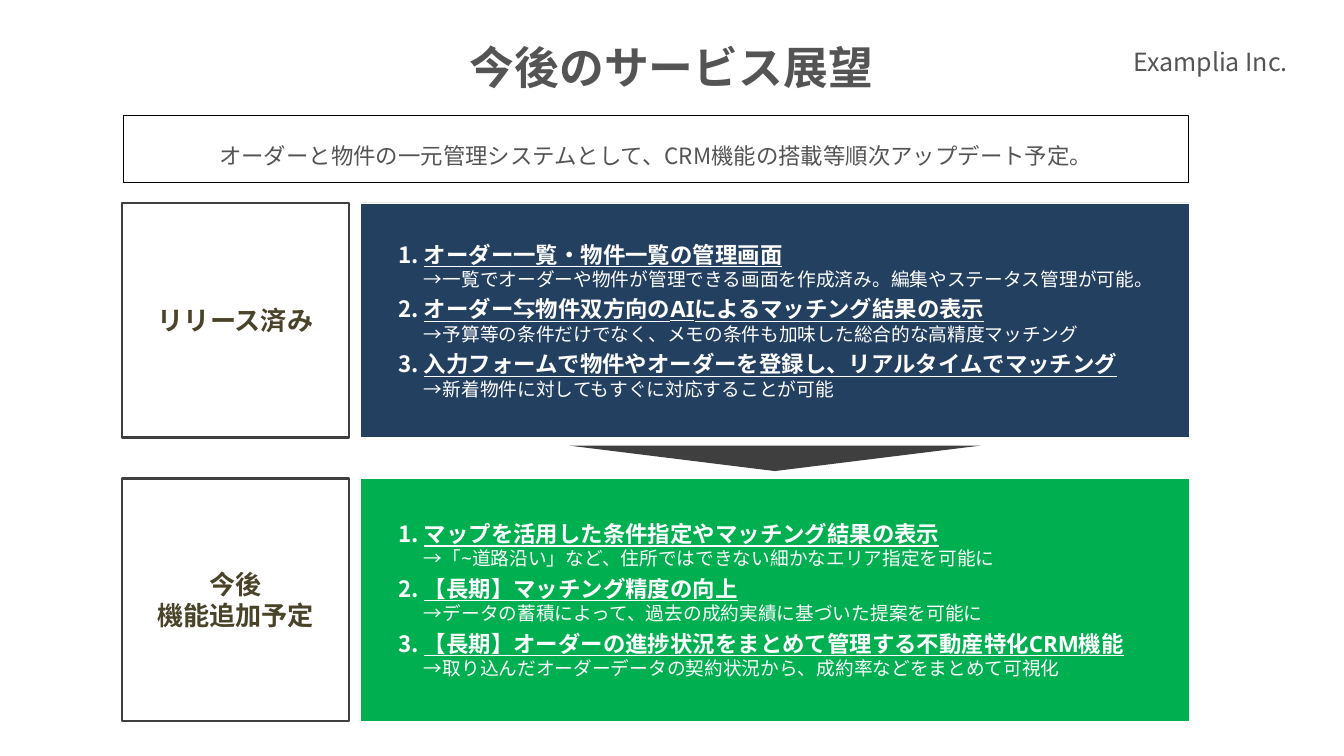
from lxml.etree import SubElement
from pptx import Presentation
from pptx.dml.color import RGBColor
from pptx.enum.shapes import MSO_SHAPE
from pptx.enum.text import MSO_ANCHOR, PP_ALIGN
from pptx.oxml.ns import qn
from pptx.util import Pt

PX = 9144  # EMU per px, 100 px to the inch

GRAY = RGBColor(0x54, 0x54, 0x54)
CHARCOAL = RGBColor(0x3F, 0x3F, 0x3F)
OLIVE = RGBColor(0x49, 0x44, 0x29)
NAVY = RGBColor(0x24, 0x40, 0x61)
GREEN = RGBColor(0x00, 0xB0, 0x50)
BLACK = RGBColor(0, 0, 0)
WHITE = RGBColor(0xFF, 0xFF, 0xFF)

JAPANESE = "Noto Sans CJK JP"

# Label lines, top, height, panel colour, (feature, explanation) pairs
STAGES = [
    (["リリース済み"], 302, 349, NAVY, [
        ("オーダー一覧・物件一覧の管理画面",
         "→一覧でオーダーや物件が管理できる画面を作成済み。編集やステータス管理が可能。"),
        ("オーダー⇆物件双方向のAIによるマッチング結果の表示",
         "→予算等の条件だけでなく、メモの条件も加味した総合的な高精度マッチング"),
        ("入力フォームで物件やオーダーを登録し、リアルタイムでマッチング",
         "→新着物件に対してもすぐに対応することが可能"),
    ]),
    (["今後", "機能追加予定"], 712, 361, GREEN, [
        ("マップを活用した条件指定やマッチング結果の表示",
         "→「~道路沿い」など、住所ではできない細かなエリア指定を可能に"),
        ("【長期】マッチング精度の向上",
         "→データの蓄積によって、過去の成約実績に基づいた提案を可能に"),
        ("【長期】オーダーの進捗状況をまとめて管理する不動産特化CRM機能",
         "→取り込んだオーダーデータの契約状況から、成約率などをまとめて可視化"),
    ]),
]


def box(*lengths):
    return [length * PX for length in lengths]


def add_text(paragraph, text, size, color, font=JAPANESE, bold=False, underline=False):
    run = paragraph.add_run()
    run.text = text
    run.font.size = Pt(size)
    run.font.name = font
    run.font.bold = bold
    run.font.underline = underline
    run.font.color.rgb = color
    SubElement(run.font._element, qn("a:ea"), typeface=JAPANESE)


def set_frame(frame, x_inset=0, y_inset=0, anchor=MSO_ANCHOR.TOP):
    frame.word_wrap = True
    frame.vertical_anchor = anchor
    frame.margin_left = frame.margin_right = x_inset * PX
    frame.margin_top = frame.margin_bottom = y_inset * PX


def write_centered(frame, lines, line_spacing=1.0, **text_format):
    for index, line in enumerate(lines):
        paragraph = frame.add_paragraph() if index else frame.paragraphs[0]
        paragraph.alignment = PP_ALIGN.CENTER
        paragraph.line_spacing = line_spacing
        add_text(paragraph, line, **text_format)


def add_block(slide, kind, bounds, fill=None, line=None, line_width=0.75):
    block = slide.shapes.add_shape(kind, *box(*bounds))
    block.shadow.inherit = False
    if fill is None:
        block.fill.background()
    else:
        block.fill.solid()
        block.fill.fore_color.rgb = fill
    if line is None:
        block.line.fill.background()
    else:
        block.line.color.rgb = line
        block.line.width = Pt(line_width)
    return block


def number_paragraph(paragraph):
    properties = paragraph._p.get_or_add_pPr()
    properties.set("marL", str(88 * PX))
    properties.set("indent", str(-38 * PX))
    bullet_color = SubElement(properties, qn("a:buClr"))
    SubElement(bullet_color, qn("a:srgbClr"), val=str(WHITE))
    SubElement(properties, qn("a:buAutoNum"), type="arabicPeriod")


def add_feature_panel(slide, bounds, fill, features):
    panel = add_block(slide, MSO_SHAPE.RECTANGLE, bounds, fill=fill, line=WHITE)
    frame = panel.text_frame
    set_frame(frame, 7, 4, MSO_ANCHOR.MIDDLE)
    for index, (feature, explanation) in enumerate(features):
        paragraph = frame.add_paragraph() if index else frame.paragraphs[0]
        number_paragraph(paragraph)
        paragraph.level = 1
        paragraph.alignment = PP_ALIGN.LEFT
        if index:
            paragraph.space_before = Pt(6)
        add_text(paragraph, feature, 24, WHITE, font="Noto Sans", bold=True, underline=True)
        paragraph.add_line_break()
        add_text(paragraph, explanation, 20, WHITE, font="Noto Sans")


def add_stage(slide, label_lines, top, height, fill, features):
    label = add_block(slide, MSO_SHAPE.RECTANGLE, (182, top, 337, height),
                      line=CHARCOAL, line_width=2.25)
    set_frame(label.text_frame, 10, 5, MSO_ANCHOR.MIDDLE)
    write_centered(label.text_frame, label_lines, size=28, color=OLIVE, font="Arial", bold=True)
    add_feature_panel(slide, (536, top, 1234, height), fill, features)


def main():
    deck = Presentation()
    deck.slide_width, deck.slide_height = box(2000, 1125)
    slide = deck.slides.add_slide(deck.slide_layouts[5])

    # Title and company name
    title = slide.shapes.title
    title.left, title.top, title.width, title.height = box(426, 27, 1146, 90)
    set_frame(title.text_frame)
    write_centered(title.text_frame, ["今後のサービス展望"], 1.4, size=48, color=GRAY, bold=True)

    company = slide.shapes.add_textbox(*box(1669, 51, 265, 48))
    set_frame(company.text_frame)
    write_centered(company.text_frame, ["Examplia Inc."], 1.4, size=26.8, color=GRAY)

    # Summary
    summary = add_block(slide, MSO_SHAPE.RECTANGLE, (183, 171, 1585, 100), line=BLACK)
    set_frame(summary.text_frame, 0, 20, MSO_ANCHOR.MIDDLE)
    write_centered(summary.text_frame,
                   ["オーダーと物件の一元管理システムとして、CRM機能の搭載等順次アップデート予定。"],
                   1.5, size=24, color=GRAY)

    # Released and planned features
    for stage in STAGES:
        add_stage(slide, *stage)

    # Pointer from released to planned
    pointer = add_block(slide, MSO_SHAPE.ISOSCELES_TRIANGLE, (846, 663, 614, 38), fill=CHARCOAL)
    pointer.rotation = 180

    deck.save("out.pptx")


if __name__ == "__main__":
    main()
